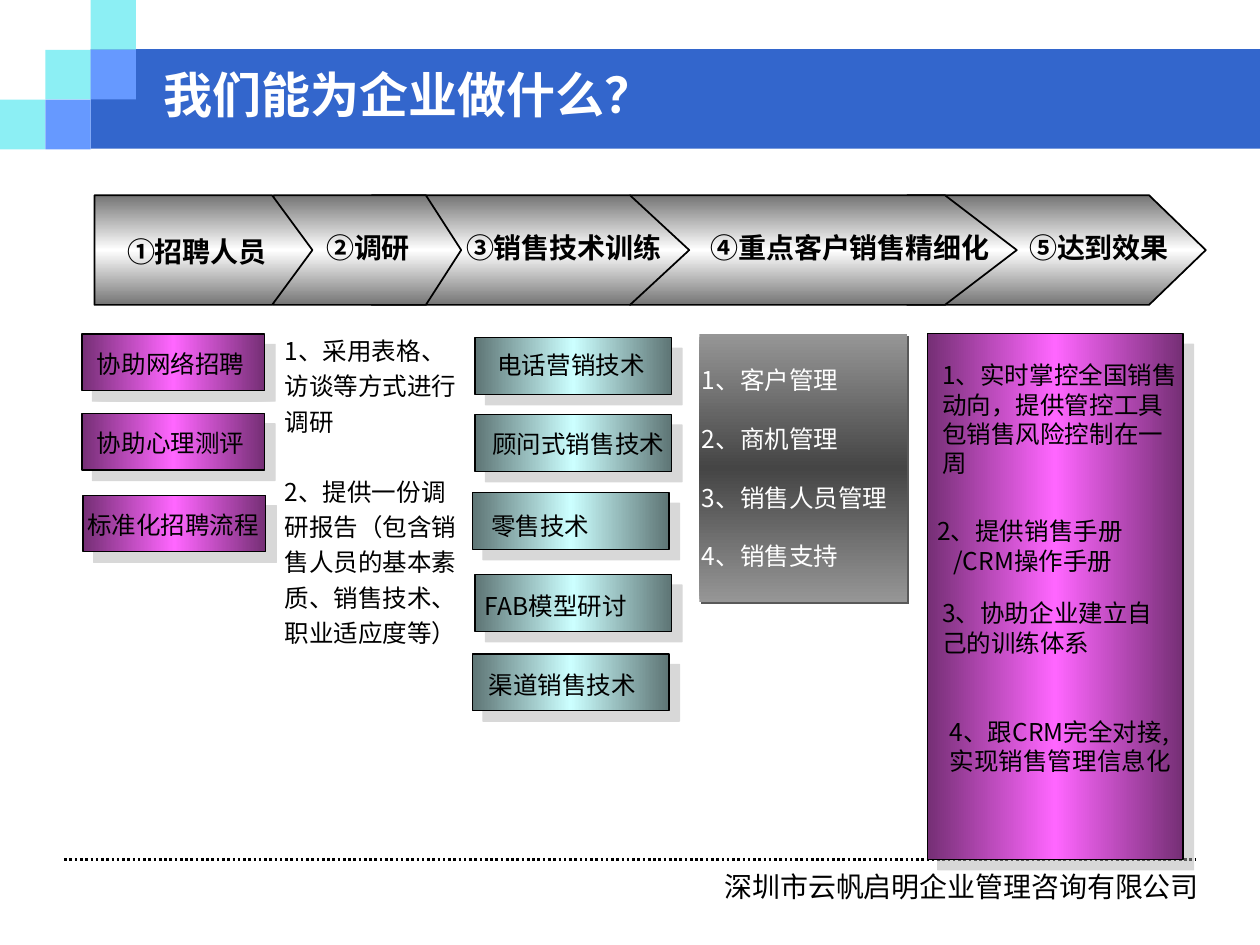
from copy import deepcopy
from dataclasses import dataclass

from lxml.etree import SubElement
from pptx import Presentation
from pptx.dml.color import RGBColor
from pptx.enum.dml import MSO_LINE_DASH_STYLE as Dash
from pptx.enum.shapes import MSO_CONNECTOR as Connector, MSO_SHAPE as Shape
from pptx.enum.text import MSO_ANCHOR as Anchor, MSO_AUTO_SIZE as AutoSize, PP_ALIGN as Align
from pptx.oxml.ns import qn
from pptx.util import Inches, Pt


@dataclass(frozen=True)
class Theme:
    banner: str = "3366CC"
    aqua: str = "8CEFF4"
    sky: str = "6699FF"
    black: str = "000000"
    white: str = "FFFFFF"
    shadow: str = "B2B2B2"
    dark_shadow: str = "595959"
    # Gradients: edge colour, middle colour
    purple: tuple = ("752F75", "FF66FF")
    teal: tuple = ("5E7575", "CCFFFF")
    charcoal: tuple = ("969696", "454545")
    steel: tuple = ("757575", "FFFFFF")
    heading_font: str = "Arial"
    body_font: str = "Noto Sans CJK SC"
    title_size: int = 28
    step_size: int = 16
    body_size: int = 14


class SlideBuilder:
    def __init__(self, slide, theme):
        self.slide = slide
        self.theme = theme

    def paint(self, shape, fill, line=None, angle=180):
        """Fill with one colour, or with an edge-middle-edge gradient."""
        if isinstance(fill, tuple):
            edge, middle = fill
            shape.fill.gradient()
            shape.fill.gradient_angle = angle
            stop_list = shape._element.spPr.find(".//" + qn("a:gsLst"))
            stop_list.append(deepcopy(stop_list[0]))
            stops = zip(shape.fill.gradient_stops, (0, 0.5, 1), (edge, middle, edge))
            for stop, position, color in stops:
                stop.position = position
                stop.color.rgb = RGBColor.from_string(color)
        else:
            shape.fill.solid()
            shape.fill.fore_color.rgb = RGBColor.from_string(fill)
        if line:
            shape.line.color.rgb = RGBColor.from_string(self.theme.black)
            shape.line.width = Pt(line)
        else:
            shape.line.fill.background()
        shape.shadow.inherit = False

    def cast_shadow(self, shape, color, opacity, distance):
        effects = shape._element.spPr.find(qn("a:effectLst"))
        outer = SubElement(effects, qn("a:outerShdw"), blurRad="0", dist=str(Pt(distance)),
                           dir="2700000", algn="ctr", rotWithShape="0")
        tint = SubElement(outer, qn("a:srgbClr"), val=color)
        SubElement(tint, qn("a:alpha"), val=str(opacity * 1000))

    def rect(self, box, fill, line=None, angle=180):
        shape = self.slide.shapes.add_shape(Shape.RECTANGLE, *map(Inches, box))
        self.paint(shape, fill, line, angle)
        return shape

    def panel(self, box, fill):
        self.cast_shadow(self.rect(box, fill, 0.75), self.theme.shadow, 50, 8.5)

    def arrow(self, left, shoulder, tip, top=1.55, bottom=2.42):
        middle = (top + bottom) / 2
        corners = [(shoulder, top), (tip, middle), (shoulder, bottom), (left, bottom)]
        outline = self.slide.shapes.build_freeform(Inches(left), Inches(top))
        outline.add_line_segments([(Inches(x), Inches(y)) for x, y in corners])
        self.paint(outline.convert_to_shape(), self.theme.steel, 1, 90)

    def dotted_line(self, left, right, y):
        rule = self.slide.shapes.add_connector(
            Connector.STRAIGHT, Inches(left), Inches(y), Inches(right), Inches(y))
        rule.line.color.rgb = RGBColor.from_string(self.theme.black)
        rule.line.width = Pt(1.5)
        rule.line.dash_style = Dash.ROUND_DOT
        SubElement(rule._element.spPr, qn("a:effectLst"))

    def fill_text(self, frame, lines, size=None, color=None, bold=False, font=None,
                  align=Align.LEFT, gap=0, spacing=None):
        """Put one paragraph per line, with a gap in points between them."""
        for index, line in enumerate(lines):
            paragraph = frame.add_paragraph() if index else frame.paragraphs[0]
            paragraph.alignment = align
            paragraph.space_before = Pt(gap if index else 0)
            if spacing:
                paragraph.line_spacing = spacing
            run = paragraph.add_run()
            run.text = line
            run.font.size = Pt(size or self.theme.body_size)
            run.font.bold = bold
            run.font.color.rgb = RGBColor.from_string(color or self.theme.black)
            run.font.name = font or self.theme.body_font
            SubElement(run._r.rPr, qn("a:ea"), typeface=run.font.name)

    def label(self, box, *lines, wrap=False, inset=True, **style):
        shape = self.slide.shapes.add_textbox(*map(Inches, box))
        frame = shape.text_frame
        frame.word_wrap = wrap
        frame.auto_size = AutoSize.SHAPE_TO_FIT_TEXT
        if not inset:
            frame.margin_left = frame.margin_right = frame.margin_top = frame.margin_bottom = 0
        self.fill_text(frame, lines, **style)
        return frame

    def placeholder(self, holder, box, *lines, **style):
        holder.left, holder.top, holder.width, holder.height = map(Inches, box)
        self.slide.shapes._spTree.append(holder._element)  # bring to front
        frame = holder.text_frame
        frame.word_wrap = True
        frame.auto_size = AutoSize.NONE
        frame.vertical_anchor = Anchor.TOP
        self.fill_text(frame, lines, **style)
        for paragraph in frame.paragraphs:
            properties = paragraph._p.get_or_add_pPr()
            properties.set("marL", "0")
            properties.set("indent", "0")
            SubElement(properties, qn("a:buNone"))


def main():
    deck = Presentation()
    deck.slide_width, deck.slide_height = Inches(10), Inches(7.5)
    slide = deck.slides.add_slide(deck.slide_layouts[1])
    theme = Theme()
    page = SlideBuilder(slide, theme)

    # Banner with its staircase of squares
    cell_width, cell_height = 0.36, 0.395
    page.rect((0.72, 0.39, 9.28, 0.79), theme.banner)
    for column, row in ((0, 2), (1, 1), (2, 0), (2, 1), (1, 2)):
        page.rect((column * cell_width, row * cell_height, cell_width, cell_height),
                  theme.aqua if column + row == 2 else theme.sky)
    page.placeholder(slide.shapes.title, (1.2, 0.46, 4.51, 0.57), "我们能为企业做什么？",
                     size=theme.title_size, color=theme.white, bold=True,
                     font=theme.heading_font)

    # Footer
    page.dotted_line(0.51, 9.49, 6.82)
    page.label((5.75, 6.92, 3.77, 0.26), "深圳市云帆启明企业管理咨询有限公司", inset=False,
               size=theme.step_size, font=theme.heading_font, spacing=0.97)

    # Recruiting: panel left, top; label left, width
    for text, left, top, text_left, text_width in (
            ("协助网络招聘", 0.65, 2.65, 0.67, 1.37),
            ("协助心理测评", 0.65, 3.28, 0.67, 1.37),
            ("标准化招聘流程", 0.66, 3.93, 0.59, 1.57)):
        page.panel((left, top, 1.45, 0.45), theme.purple)
        page.label((text_left, top + 0.07, text_width, 0.33), text, align=Align.CENTER)

    # Research
    page.placeholder(slide.placeholders[1], (2.16, 2.57, 1.65, 2.62),
                     "1、采用表格、访谈等方式进行调研",
                     "2、提供一份调研报告（包含销售人员的基本素质、销售技术、职业适应度等）",
                     gap=20, spacing=1.2)

    # Sales training: panel left, top; label left, top, width
    for text, left, top, text_left, text_top, text_width in (
            ("电话营销技术", 3.77, 2.68, 3.85, 2.73, 1.37),
            ("顾问式销售技术", 3.77, 3.29, 3.81, 3.36, 1.57),
            ("零售技术", 3.75, 3.91, 3.8, 4.01, 0.98),
            ("FAB模型研讨", 3.77, 4.56, 3.75, 4.64, 1.38),
            ("渠道销售技术", 3.75, 5.19, 3.78, 5.27, 1.37)):
        page.panel((left, top, 1.56, 0.45), theme.teal)
        page.label((text_left, text_top, text_width, 0.33), text)

    # Key accounts
    accounts = page.rect((5.55, 2.65, 1.65, 2.13), theme.charcoal, angle=90)
    page.cast_shadow(accounts, theme.dark_shadow, 100, 1.4)
    accounts_text = accounts.text_frame
    accounts_text.word_wrap = False
    accounts_text.vertical_anchor = Anchor.MIDDLE
    accounts_text.margin_left = accounts_text.margin_right = Inches(0.02)
    page.fill_text(accounts_text, ("1、客户管理", "2、商机管理", "3、销售人员管理", "4、销售支持"),
                   color=theme.white, gap=16.75)

    # Results
    page.panel((7.36, 2.65, 2.03, 4.17), theme.purple)
    page.label((7.38, 2.81, 2.13, 1.04),
               "1、实时掌控全国销售动向，提供管控工具包销售风险控制在一周", wrap=True)
    manual = page.label((7.34, 4.05, 1.72, 0.57), "2、提供销售手册", "/CRM操作手册")
    manual.paragraphs[1]._p.get_or_add_pPr().set("marL", str(Inches(0.13)))
    page.label((7.38, 4.7, 1.97, 0.57), "3、协助企业建立自己的训练体系", wrap=True)
    page.label((7.44, 5.64, 1.97, 0.8), "4、跟CRM完全对接,实现销售管理信息化", wrap=True)

    # Process arrows, last step at the back: left, shoulder, tip; label left, top, width
    steps = (
        ("①招聘人员", (0.75, 2.16, 2.48), (0.91, 1.81, 1.31)),
        ("②调研", (2.17, 3.38, 3.66), (2.49, 1.78, 0.87)),
        ("③销售技术训练", (2.95, 5, 5.47), (3.6, 1.78, 1.75)),
        ("④重点客户销售精细化", (5, 7.5, 8.07), (5.54, 1.78, 2.42)),
        ("⑤达到效果", (7.2, 9.12, 9.57), (8.07, 1.78, 1.34)),
    )
    for _, edges, _ in reversed(steps):
        page.arrow(*edges)
    for text, _, place in steps:
        page.label((*place, 0.37), text, size=theme.step_size, bold=True, align=Align.JUSTIFY)

    deck.save("out.pptx")


if __name__ == "__main__":
    main()
